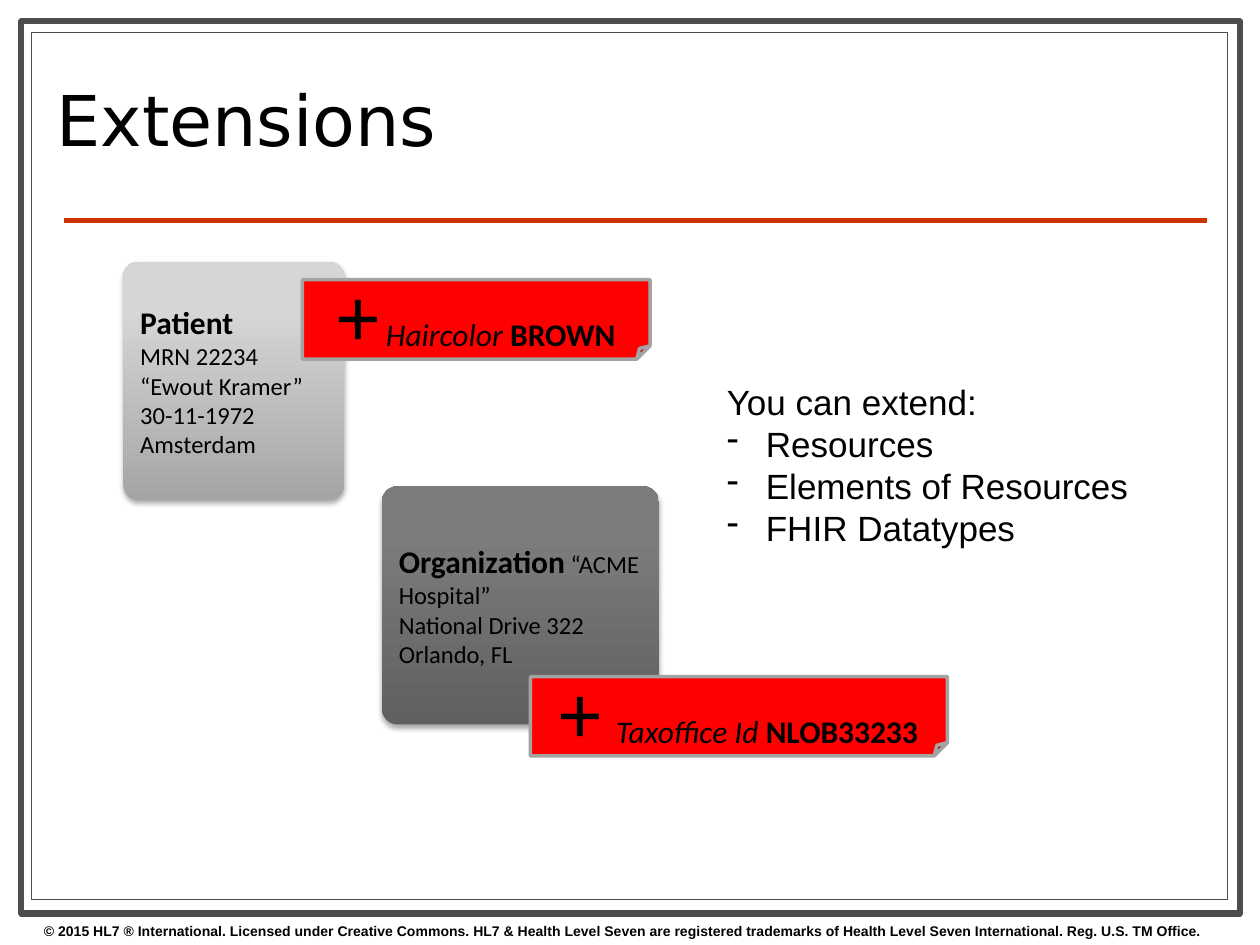
import copy

from lxml import etree
from pptx import Presentation
from pptx import util as u
from pptx.dml.color import RGBColor
from pptx.enum import shapes, text
from pptx.oxml import parse_xml
from pptx.oxml.ns import qn

COLORS = {
    "text": "000000", "paper": "FFFFFF", "frame": "4D4D4D", "rule": "CC3300",
    "tag": "FF0000", "tag_edge": "A3A3A3",
}
SHADOW = (
    '<a:effectLst xmlns:a="http://schemas.openxmlformats.org/drawingml/2006/main">'
    '<a:outerShdw blurRad="39370" dist="22860" dir="5400000" rotWithShape="0">'
    '<a:srgbClr val="000000"><a:alpha val="35000"/></a:srgbClr>'
    '</a:outerShdw></a:effectLst>'
)
HEADING = {"size": u.Pt(18), "name": "Calibri", "bold": True}
DETAIL = {"size": u.Pt(14), "name": "Calibri", "bold": False}
PLUS = {"size": u.Pt(48), "name": "Calibri"}
GAP = {"size": u.Pt(36), "name": "Calibri"}
LABEL = {"size": u.Pt(18), "name": "Calibri", "italic": True}
LIST = {"size": u.Pt(20), "name": "Arial"}


def add_run(paragraph, words, style):
    run = paragraph.add_run()
    run.text = words
    for key, value in style.items():
        setattr(run.font, key, value)
    run.font.color.rgb = RGBColor.from_string(COLORS["text"])


def add_panel(preset, box, fill=None, edge=None, weight=0):
    panel = slide.shapes.add_shape(preset, *map(u.Inches, box))
    panel.shadow.inherit = False
    if fill:
        panel.fill.solid()
        panel.fill.fore_color.rgb = RGBColor.from_string(COLORS[fill])
    if edge:
        panel.line.color.rgb = RGBColor.from_string(COLORS[edge])
        panel.line.width = u.Pt(weight)
    else:
        panel.line.fill.background()
    panel.text_frame.word_wrap = True
    panel.text_frame.vertical_anchor = text.MSO_ANCHOR.MIDDLE
    return panel


deck = Presentation()
deck.slide_width, deck.slide_height = u.Inches(10), u.Inches(7.5)
slide = deck.slides.add_slide(deck.slide_layouts[5])

for box, weight in [((0.17, 0.17, 9.67, 7.08), 3.5), ((0.25, 0.26, 9.49, 6.88), 0.75)]:
    add_panel(shapes.MSO_SHAPE.RECTANGLE, box, "paper", "frame", weight)

rule = slide.shapes.add_connector(
    shapes.MSO_CONNECTOR.STRAIGHT,
    u.Inches(0.51), u.Inches(1.75), u.Inches(9.58), u.Inches(1.75))
rule.line.color.rgb = RGBColor.from_string(COLORS["rule"])
rule.line.width = u.Pt(3)
etree.SubElement(rule.element.spPr, qn("a:effectLst"))

copyright_line = slide.shapes.add_textbox(*map(u.Inches, (0.25, 7.27, 10, 0.23)))
copyright_line.text_frame.word_wrap = True
add_run(
    copyright_line.text_frame.paragraphs[0],
    "© 2015 HL7 ® International. Licensed under Creative Commons. HL7 & Health Level "
    "Seven are registered trademarks of Health Level Seven International. Reg. U.S. TM Office.",
    {"size": u.Pt(8), "name": "Arial", "bold": True})

title = slide.shapes.title
slide.shapes.element.append(title.element)
title.left, title.top, title.width, title.height = map(u.Inches, (0.35, 0.36, 7.17, 1.29))
title.text_frame.auto_size = text.MSO_AUTO_SIZE.NONE
title.text_frame.vertical_anchor = text.MSO_ANCHOR.MIDDLE
heading = title.text_frame.paragraphs[0]
heading.alignment = text.PP_ALIGN.LEFT
heading.line_spacing = 0.8
add_run(heading, "Extensions", {"size": u.Pt(40), "name": "DejaVu Sans"})

resources = [
    ((3.03, 3.86, 2.2, 1.89), ("606060", "7C7C7C", "7D7D7D"),
     [[("Organization", HEADING), (" “ACME Hospital”", DETAIL)],
      [("National Drive 322", DETAIL)], [("Orlando, FL", DETAIL)]]),
    ((0.98, 2.08, 1.75, 1.89), ("A5A5A5", "D6D6D6", "D7D7D7"),
     [[("Patient", HEADING)], [("MRN 22234", DETAIL)], [("“Ewout Kramer”", DETAIL)],
      [("30-11-1972", DETAIL)], [("Amsterdam", DETAIL)]]),
]
for box, shades, lines in resources:
    card = add_panel(shapes.MSO_SHAPE.ROUNDED_RECTANGLE, box)
    card.adjustments[0] = 0.067
    card.fill.gradient()
    card.fill.gradient_angle = 90
    stop_list = card.element.spPr.find(qn("a:gradFill")).find(qn("a:gsLst"))
    stop_list.append(copy.deepcopy(stop_list[-1]))
    for stop, position, shade in zip(card.fill.gradient_stops, (0, 0.8, 1), shades):
        stop.position = position
        stop.color.rgb = RGBColor.from_string(shade)
    properties = card.element.spPr
    properties.replace(properties.find(qn("a:effectLst")), parse_xml(SHADOW))
    for index, runs in enumerate(lines):
        frame = card.text_frame
        line = frame.add_paragraph() if index else frame.paragraphs[0]
        line.alignment = text.PP_ALIGN.LEFT
        for words, style in runs:
            add_run(line, words, style)

extensions = [
    ((2.4, 2.22, 2.76, 0.63), [("+", PLUS), (" Haircolor ", LABEL), ("BROWN", HEADING)]),
    ((4.21, 5.37, 3.31, 0.63),
     [("+", PLUS), (" ", GAP), ("Taxoffice Id ", LABEL), ("NLOB33233", HEADING)]),
]
for box, runs in extensions:
    tag = add_panel(shapes.MSO_SHAPE.FOLDED_CORNER, box, "tag", "tag_edge", 2)
    tag.text_frame.paragraphs[0].alignment = text.PP_ALIGN.CENTER
    for words, style in runs:
        add_run(tag.text_frame.paragraphs[0], words, style)

extendable = slide.shapes.add_textbox(*map(u.Inches, (5.67, 2.97, 3.42, 1.45))).text_frame
extendable.word_wrap = False
add_run(extendable.paragraphs[0], "You can extend:", LIST)
for target in ("Resources", "Elements of Resources", "FHIR Datatypes"):
    item = extendable.add_paragraph()
    settings = item._p.get_or_add_pPr()
    settings.set("marL", str(u.Inches(0.31)))
    settings.set("indent", str(u.Inches(-0.31)))
    etree.SubElement(settings, qn("a:buChar"), char="-")
    add_run(item, target, LIST)

deck.save("out.pptx")
